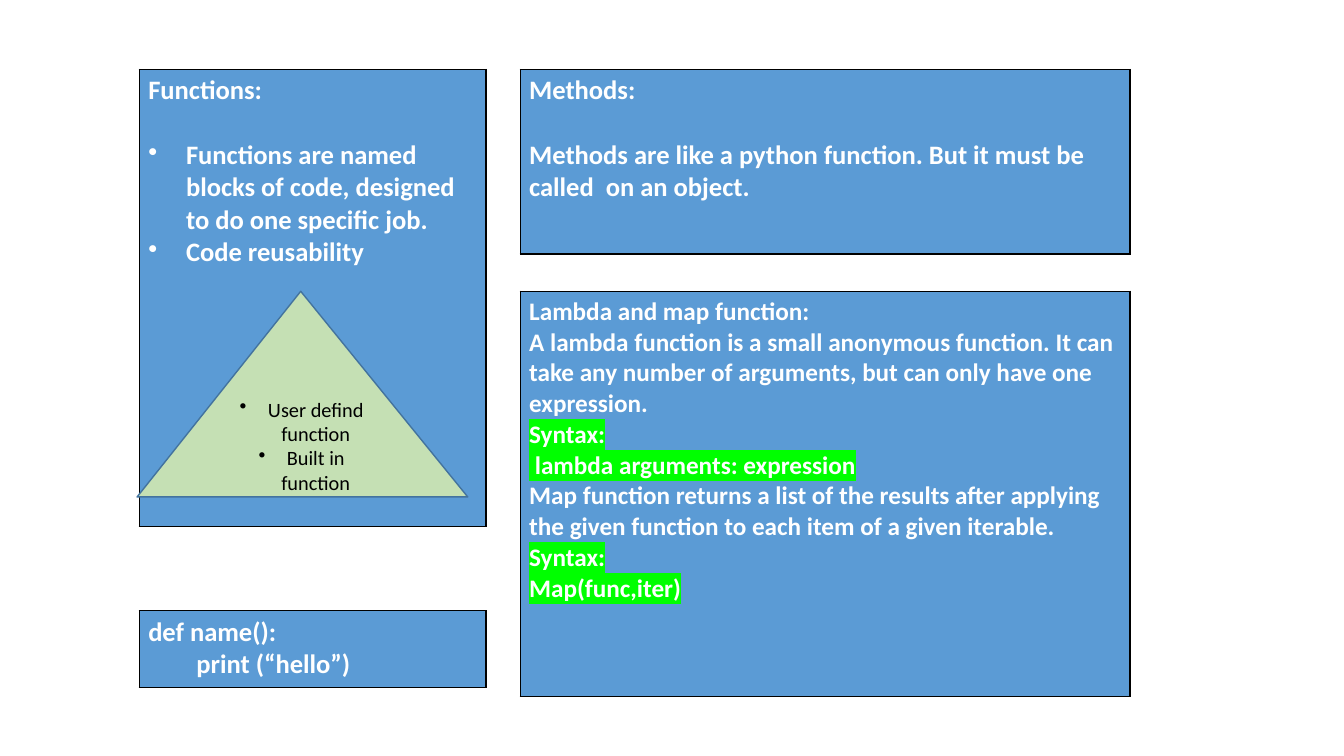
from dataclasses import dataclass

from lxml import etree
from pptx import Presentation
from pptx.dml.color import RGBColor
from pptx.enum.shapes import MSO_SHAPE
from pptx.enum.text import MSO_ANCHOR, PP_ALIGN
from pptx.oxml.ns import qn
from pptx.slide import Slide
from pptx.util import Pt

TRIANGLE = MSO_SHAPE.ISOSCELES_TRIANGLE
MIDDLE = MSO_ANCHOR.MIDDLE
CENTER = PP_ALIGN.CENTER


@dataclass(frozen=True)
class Theme:
    font: str = "Calibri"
    panel: str = "5B9BD5"
    panel_text: str = "FFFFFF"
    border: str = "000000"
    triangle: str = "C5E0B4"
    triangle_line: str = "43739E"
    triangle_text: str = "000000"
    highlight: str = "00FF00"
    large: float = 19
    medium: float = 18
    small: float = 14.5
    line_width: float = 1
    heading_gap: float = 23.2
    bullet_indent: float = 27
    small_bullet_indent: float = 20.25
    code_indent: float = 34.4


THEME = Theme()


@dataclass(frozen=True)
class Line:
    text: str
    indent: float = 0
    bullet: bool = False
    highlight: bool = False
    gap_after: float = 0


@dataclass(frozen=True)
class Panel:
    left: float
    top: float
    width: float
    height: float
    size: float
    lines: tuple[Line, ...]


LEFT, LEFT_WIDTH = 99.4, 247.7
RIGHT, RIGHT_WIDTH = 371.5, 435.6
TOP, MIDDLE_TOP, CODE_TOP = 49.7, 208.1, 436.3

PANELS = (
    Panel(LEFT, TOP, LEFT_WIDTH, 326.2, THEME.large, (
        Line("Functions:", gap_after=THEME.heading_gap),
        Line("Functions are named blocks of code, designed to do one specific job.",
             THEME.bullet_indent, bullet=True),
        Line("Code reusability", THEME.bullet_indent, bullet=True),
    )),
    Panel(LEFT, CODE_TOP, LEFT_WIDTH, 54.7, THEME.large, (
        Line("def name():"),
        Line("print (“hello”)", THEME.code_indent),
    )),
    Panel(RIGHT, TOP, RIGHT_WIDTH, 131.8, THEME.large, (
        Line("Methods:", gap_after=THEME.heading_gap),
        Line("Methods are like a python function. But it must be called  on an object."),
    )),
    Panel(RIGHT, MIDDLE_TOP, RIGHT_WIDTH, 289.4, THEME.medium, (
        Line("Lambda and map function:"),
        Line("A lambda function is a small anonymous function. It can take any number "
             "of arguments, but can only have one expression."),
        Line("Syntax:", highlight=True),
        Line(" lambda arguments: expression", highlight=True),
        Line("Map function returns a list of the results after applying the given "
             "function to each item of a given iterable."),
        Line("Syntax:", highlight=True),
        Line("Map(func,iter)", highlight=True),
    )),
)

FUNCTION_KINDS = tuple(
    Line(text, THEME.small_bullet_indent, bullet=True)
    for text in ("User defind function", "Built in function")
)


def write_lines(frame, lines: tuple[Line, ...], size: float, color: str,
                bold: bool, align: PP_ALIGN | None = None) -> None:
    frame.word_wrap = True
    frame.text = "\n".join(line.text for line in lines)
    for para, line in zip(frame.paragraphs, lines):
        para.alignment = align
        para.space_after = Pt(line.gap_after)
        properties = para._p.get_or_add_pPr()
        properties.set("marL", str(Pt(line.indent)))
        properties.set("indent", str(Pt(-line.indent if line.bullet else 0)))
        if line.bullet:
            etree.SubElement(properties, qn("a:buChar"), char="•")
        for span in para.runs:
            span.font.name = THEME.font
            span.font.size = Pt(size)
            span.font.bold = bold
            span.font.color.rgb = RGBColor.from_string(color)
            if line.highlight:
                highlight = etree.Element(qn("a:highlight"))
                etree.SubElement(highlight, qn("a:srgbClr"), val=THEME.highlight)
                span._r.rPr.find(qn("a:solidFill")).addnext(highlight)


def add_borders(cell) -> None:
    properties = cell._tc.get_or_add_tcPr()
    for position, side in enumerate(("a:lnL", "a:lnR", "a:lnT", "a:lnB")):
        edge = etree.Element(qn(side), w=str(Pt(THEME.line_width)))
        fill = etree.SubElement(edge, qn("a:solidFill"))
        etree.SubElement(fill, qn("a:srgbClr"), val=THEME.border)
        properties.insert(position, edge)


def add_panel(page: Slide, panel: Panel) -> None:
    table = page.shapes.add_table(
        1, 1, Pt(panel.left), Pt(panel.top), Pt(panel.width), Pt(panel.height)).table
    table.first_row = False
    table.horz_banding = False
    cell = table.cell(0, 0)
    cell.margin_left = cell.margin_right = Pt(6.5)
    cell.margin_top = cell.margin_bottom = Pt(3.6)
    cell.fill.solid()
    cell.fill.fore_color.rgb = RGBColor.from_string(THEME.panel)
    add_borders(cell)
    write_lines(cell.text_frame, panel.lines, panel.size, THEME.panel_text, bold=True)


def add_triangle(page: Slide) -> None:
    shape = page.shapes.add_shape(TRIANGLE, Pt(97.9), Pt(MIDDLE_TOP), Pt(236.2), Pt(146.9))
    shape.adjustments[0] = 0.495
    shape.shadow.inherit = False
    shape.fill.solid()
    shape.fill.fore_color.rgb = RGBColor.from_string(THEME.triangle)
    shape.line.color.rgb = RGBColor.from_string(THEME.triangle_line)
    shape.line.width = Pt(THEME.line_width)
    shape.text_frame.vertical_anchor = MIDDLE
    write_lines(shape.text_frame, FUNCTION_KINDS, THEME.small, THEME.triangle_text,
                bold=False, align=CENTER)


deck = Presentation()
deck.slide_width = Pt(960)
deck.slide_height = Pt(540)
page = deck.slides.add_slide(deck.slide_layouts[6])
for panel in PANELS:
    add_panel(page, panel)
add_triangle(page)
deck.save("out.pptx")
